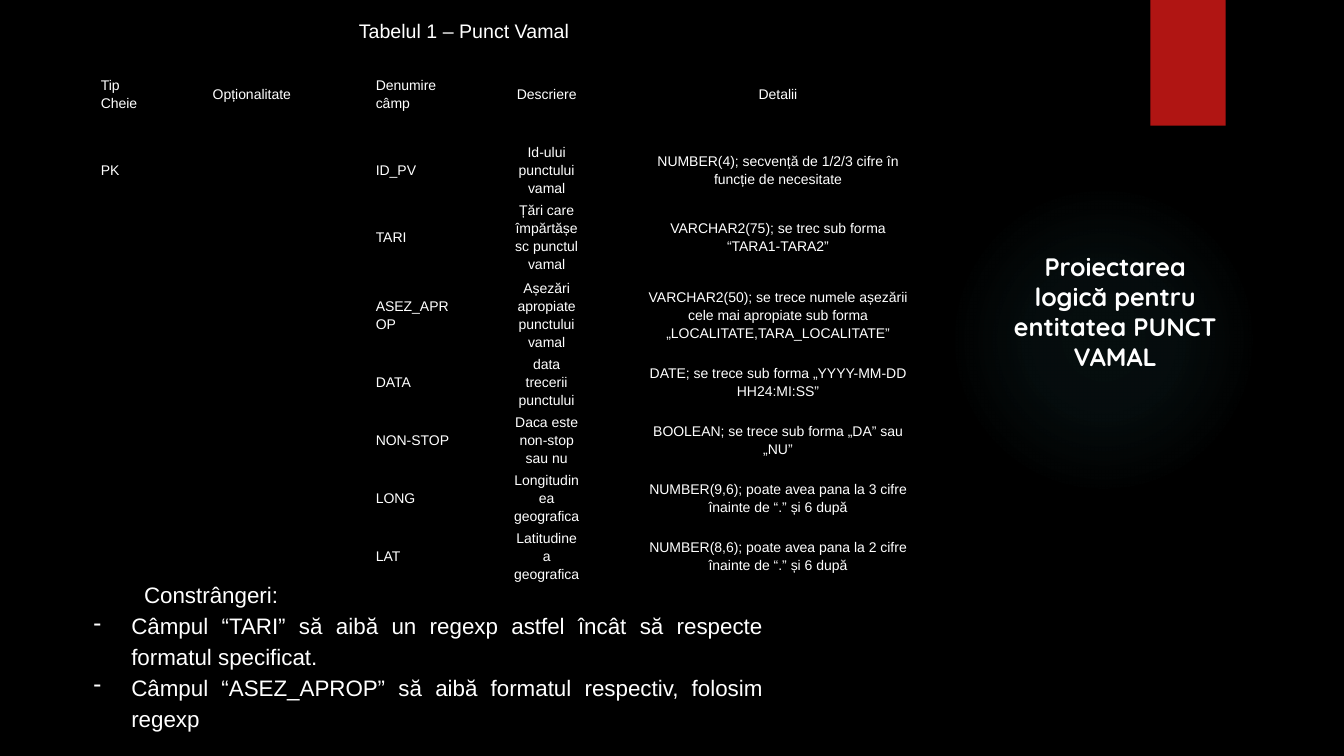
from dataclasses import dataclass

from lxml import etree
from pptx import Presentation
from pptx.dml.color import RGBColor
from pptx.enum.shapes import MSO_SHAPE
from pptx.enum.text import MSO_ANCHOR, MSO_AUTO_SIZE, PP_ALIGN
from pptx.oxml import parse_xml
from pptx.oxml.ns import nsdecls, qn
from pptx.util import Cm, Pt

LEFT, CENTER, JUSTIFY = PP_ALIGN.LEFT, PP_ALIGN.CENTER, PP_ALIGN.JUSTIFY
MIDDLE = MSO_ANCHOR.MIDDLE
GROW = MSO_AUTO_SIZE.SHAPE_TO_FIT_TEXT
RECTANGLE, OVAL = MSO_SHAPE.RECTANGLE, MSO_SHAPE.OVAL


@dataclass(frozen=True)
class Theme:
    background: str = "000000"
    text: str = "FFFFFF"
    accent: str = "B01513"
    glow: str = "50B9C1"
    body_font: str = "Arial"
    title_font: str = "Quicksand"
    title_size: int = 18
    list_size: int = 16
    caption_size: int = 14
    cell_size: int = 10
    line_spacing: float = 1.15
    last_space: int = 8


COLUMN_WIDTHS = [2.82, 4.11, 3.45, 3.28, 8.38]
COLUMN_ALIGNMENTS = [LEFT, LEFT, LEFT, CENTER, CENTER]
ROW_HEIGHTS = [2.36, 1.4, 1.88, 1.88, 0.91, 1.4, 0.91, 0.91]
FIELDS = [
    ("Tip Cheie", "Opționalitate", "Denumire câmp", "Descriere", "Detalii"),
    ("PK", "", "ID_PV", "Id-ului punctului vamal",
     "NUMBER(4); secvență de 1/2/3 cifre în funcție de necesitate"),
    ("", "", "TARI", "Țări care împărtășesc punctul vamal",
     "VARCHAR2(75); se trec sub forma “TARA1-TARA2”"),
    ("", "", "ASEZ_APROP", "Așezări apropiate punctului vamal",
     "VARCHAR2(50); se trece numele așezării cele mai apropiate sub forma "
     "„LOCALITATE,TARA_LOCALITATE”"),
    ("", "", "DATA", "data trecerii punctului",
     "DATE; se trece sub forma „YYYY-MM-DD HH24:MI:SS”"),
    ("", "", "NON-STOP", "Daca este non-stop sau nu",
     "BOOLEAN; se trece sub forma „DA” sau „NU”"),
    ("", "", "LONG", "Longitudinea geografica",
     "NUMBER(9,6); poate avea pana la 3 cifre înainte de “.” și 6 după"),
    ("", "", "LAT", "Latitudinea geografica",
     "NUMBER(8,6); poate avea pana la 2 cifre înainte de “.” și 6 după"),
]
CONSTRAINTS = [
    "Câmpul “TARI” să aibă un regexp astfel încât să respecte formatul specificat.",
    "Câmpul “ASEZ_APROP” să aibă formatul respectiv, folosim regexp",
]


class SlideBuilder:
    def __init__(self, slide, theme):
        self.slide = slide
        self.theme = theme
        fill = slide.background.fill
        fill.solid()
        fill.fore_color.rgb = RGBColor.from_string(theme.background)

    def shape(self, kind, left, top, width, height):
        shape = self.slide.shapes.add_shape(kind, Cm(left), Cm(top), Cm(width), Cm(height))
        shape.shadow.inherit = False
        shape.line.fill.background()
        return shape

    def block(self, left, top, width, height):
        shape = self.shape(RECTANGLE, left, top, width, height)
        shape.fill.solid()
        shape.fill.fore_color.rgb = RGBColor.from_string(self.theme.accent)

    def glow(self, left, top, size, stops):
        shape = self.shape(OVAL, left, top, size, size)
        shape.fill.background()
        colors = "".join(
            f'<a:gs pos="{position * 1000}"><a:srgbClr val="{self.theme.glow}">'
            f'<a:alpha val="{alpha * 1000}"/></a:srgbClr></a:gs>'
            for position, alpha in stops
        )
        gradient = parse_xml(
            f'<a:gradFill {nsdecls("a")}><a:gsLst>{colors}</a:gsLst><a:path path="circle">'
            '<a:fillToRect l="50000" t="50000" r="50000" b="50000"/></a:path></a:gradFill>'
        )
        properties = shape.element.spPr
        properties.replace(properties.find(qn("a:noFill")), gradient)

    def style(self, paragraph, size, align, font=None, bold=False):
        paragraph.alignment = align
        paragraph.font.name = font or self.theme.body_font
        paragraph.font.size = Pt(size)
        paragraph.font.bold = bold
        paragraph.font.color.rgb = RGBColor.from_string(self.theme.text)

    def indent(self, paragraph, margin, first=0, bullet=None):
        paragraph.line_spacing = self.theme.line_spacing
        properties = paragraph._p.get_or_add_pPr()
        properties.set("marL", str(Cm(margin)))
        properties.set("indent", str(Cm(first)))
        if bullet:
            etree.SubElement(properties, qn("a:buChar")).set("char", bullet)

    def text_box(self, left, top, width, height):
        box = self.slide.shapes.add_textbox(Cm(left), Cm(top), Cm(width), Cm(height))
        box.text_frame.word_wrap = True
        box.text_frame.auto_size = GROW
        return box.text_frame

    def label(self, text, left, top, width, height, size, font=None, bold=False):
        para = self.text_box(left, top, width, height).paragraphs[0]
        para.text = text
        self.style(para, size, CENTER, font, bold)

    def dash_list(self, heading, items, left, top, width, height):
        frame = self.text_box(left, top, width, height)
        para = frame.paragraphs[0]
        para.text = heading
        self.indent(para, 1.27)
        self.style(para, self.theme.list_size, JUSTIFY)
        for item in items:
            para = frame.add_paragraph()
            para.text = item
            self.indent(para, 0.95, -0.95, "-")
            self.style(para, self.theme.list_size, JUSTIFY)
        para.space_after = Pt(self.theme.last_space)

    def cell(self, cell, text, align):
        cell.vertical_anchor = MIDDLE
        cell.margin_left = cell.margin_right = Cm(0.15)
        cell.margin_top = cell.margin_bottom = 0
        properties = cell._tc.get_or_add_tcPr()
        for side in ("lnL", "lnR", "lnT", "lnB"):
            properties.append(parse_xml(
                f'<a:{side} {nsdecls("a")} w="{Pt(1)}"><a:solidFill>'
                f'<a:srgbClr val="{self.theme.background}"/></a:solidFill></a:{side}>'
            ))
        cell.fill.background()
        para = cell.text_frame.paragraphs[0]
        para.text = text
        self.indent(para, 1.27)
        self.style(para, self.theme.cell_size, align)
        return para

    def table(self, rows, left, top):
        table = self.slide.shapes.add_table(
            len(rows), len(COLUMN_WIDTHS), Cm(left), Cm(top),
            Cm(sum(COLUMN_WIDTHS)), Cm(sum(ROW_HEIGHTS)),
        ).table
        table.first_row = table.horz_banding = False
        for column, width in zip(table.columns, COLUMN_WIDTHS):
            column.width = Cm(width)
        for row, height, texts in zip(table.rows, ROW_HEIGHTS, rows):
            row.height = Cm(height)
            for cell, text, align in zip(row.cells, texts, COLUMN_ALIGNMENTS):
                para = self.cell(cell, text, align)
            para.space_after = Pt(self.theme.last_space)


def main():
    deck = Presentation()
    deck.slide_width, deck.slide_height = Cm(33.87), Cm(19.05)
    theme = Theme()
    page = SlideBuilder(deck.slides.add_slide(deck.slide_layouts[6]), theme)
    page.glow(23.9, 4.65, 7.82, [(0, 7), (36, 6), (69, 0)])
    page.block(28.99, 0, 1.9, 3.17)
    page.label("Proiectarea logică pentru entitatea PUNCT VAMAL",
               25.12, 6.2, 5.97, 3.33, theme.title_size, theme.title_font, True)
    page.table(FIELDS, 1.12, 1.17)
    page.dash_list("Constrângeri:", CONSTRAINTS, 2.11, 14.43, 17.37, 5.23)
    page.label("Tabelul 1 – Punct Vamal", 7.82, 0.36, 7.75, 1.63, theme.caption_size)
    deck.save("out.pptx")


if __name__ == "__main__":
    main()
